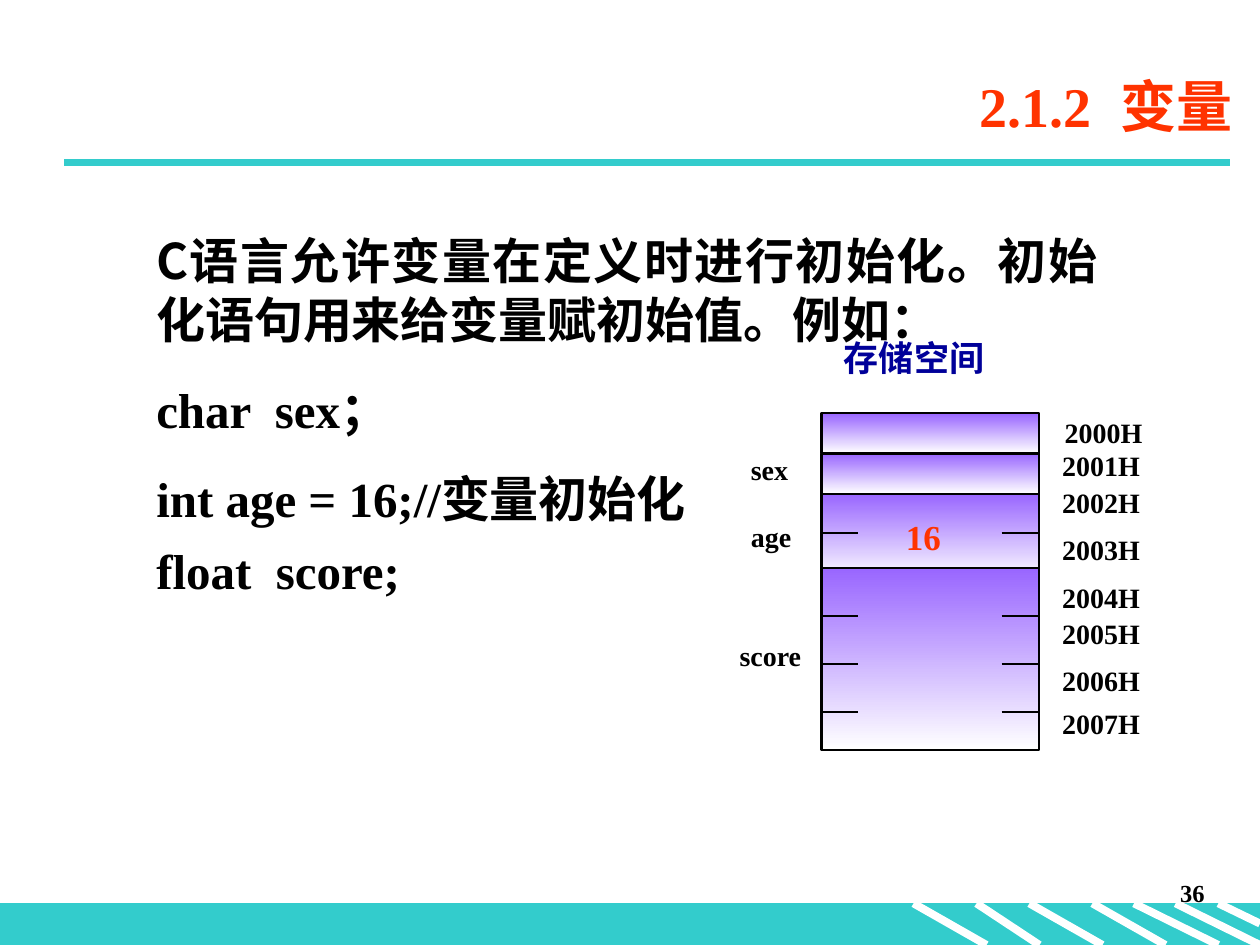
from lxml import etree
from pptx import Presentation
from pptx.dml.color import RGBColor
from pptx.enum.shapes import MSO_CONNECTOR, MSO_SHAPE
from pptx.enum.text import MSO_ANCHOR, PP_ALIGN
from pptx.oxml.ns import qn
from pptx.util import Inches, Pt

STRAIGHT = MSO_CONNECTOR.STRAIGHT
RECTANGLE = MSO_SHAPE.RECTANGLE
LEFT, RIGHT, JUSTIFY = PP_ALIGN.LEFT, PP_ALIGN.RIGHT, PP_ALIGN.JUSTIFY
TOP, MIDDLE = MSO_ANCHOR.TOP, MSO_ANCHOR.MIDDLE

SERIF, CHINESE = "Times New Roman", "Noto Sans CJK SC"
TEAL, PURPLE, RED, NAVY = "33CCCC", "9966FF", "FF3300", "000099"
BLACK, WHITE = "000000", "FFFFFF"

presentation = Presentation()
presentation.slide_width, presentation.slide_height = Inches(10), Inches(7.5)
slide = presentation.slides.add_slide(presentation.slide_layouts[1])
shapes = slide.shapes

# The slide is a grid of 10 columns by 7.5 rows
COLUMN = presentation.slide_width / 10
ROW = presentation.slide_height / 7.5


def paint(target, color):
    """Give a fill, or the fill of a line, one solid colour."""
    target.solid()
    target.fore_color.rgb = RGBColor.from_string(color)


def write(text, box, shape=None, size=16, color=BLACK, font=SERIF, align=LEFT,
          anchor=TOP, margins=(0, 0), before=0, spacing=None):
    """Add one paragraph to a shape, or to a new text box."""
    left, top, width, height = box
    if shape is None:
        shape = shapes.add_textbox(0, 0, 0, 0)
    shape.left, shape.width = int(left * COLUMN), int(width * COLUMN)
    shape.top, shape.height = int(top * ROW), int(height * ROW)
    frame = shape.text_frame
    frame.word_wrap, frame.vertical_anchor = True, anchor
    frame.margin_left = frame.margin_right = Inches(margins[0])
    frame.margin_top = frame.margin_bottom = Inches(margins[1])
    paragraph = frame.add_paragraph() if frame.text else frame.paragraphs[0]
    properties = paragraph._p.get_or_add_pPr()
    properties.set("marL", "0")
    properties.set("indent", "0")
    etree.SubElement(properties, qn("a:buNone"))
    paragraph.alignment = align
    paragraph.space_before = Pt(before)
    if spacing:
        paragraph.line_spacing = Pt(spacing)
    run = paragraph.add_run()
    run.text = text
    run.font.size, run.font.bold, run.font.name = Pt(size), True, font
    paint(run.font.fill, color)
    east_asian = etree.Element(qn("a:ea"), typeface=CHINESE)
    run.font._element.find(qn("a:latin")).addnext(east_asian)


# Footer band and memory cells: left, top, width, height, fill, line width
CELL_LEFT, CELL_WIDTH, BYTE = 6.52, 1.73, 0.32
FIRST_CELL = 3.28
blocks = [(0, 7.17, 10, 0.33, TEAL, 0.75)]
for top, height in [(FIRST_CELL, BYTE), (FIRST_CELL + BYTE, BYTE),
                    (FIRST_CELL + 2 * BYTE, 0.69), (4.51, 1.44)]:
    blocks.append((CELL_LEFT, top, CELL_WIDTH, height, None, 1.25))

for left, top, width, height, fill, line_width in blocks:
    block = shapes.add_shape(RECTANGLE, int(left * COLUMN), int(top * ROW),
                             int(width * COLUMN), int(height * ROW))
    block.shadow.inherit = False
    if fill:
        paint(block.fill, fill)
    else:
        block.fill.gradient()
        block.fill.gradient_angle = 270
        for stop, shade in zip(block.fill.gradient_stops, (PURPLE, WHITE)):
            stop.color.rgb = RGBColor.from_string(shade)
    paint(block.line.fill, fill or BLACK)
    block.line.width = Pt(line_width)

# Title rule, footer stripes and byte ticks
lines = [(0.51, 1.29, 9.76, 1.29, TEAL, 4.5)]
for start, end in [(7.25, 7.83), (7.75, 8.25), (8.17, 8.75), (8.67, 9.25),
                   (9, 9.67), (9.33, 10)]:
    lines.append((start, 7.17, end, 7.5, WHITE, 4.5))
lines.append((9.67, 7.17, 10, 7.33, WHITE, 4.5))
for y in (4.23, 4.89, 5.27, 5.65):
    for x in (CELL_LEFT, 7.95):
        lines.append((x, y, x + 0.29, y, BLACK, 0.75))

for x1, y1, x2, y2, color, width in lines:
    line = shapes.add_connector(STRAIGHT, int(x1 * COLUMN), int(y1 * ROW),
                                int(x2 * COLUMN), int(y2 * ROW))
    paint(line.line.fill, color)
    line.line.width = Pt(width)
    etree.SubElement(line._element.spPr, qn("a:effectLst"))

# Title, body and page number
write("2.1.2  变量", (1.38, 0.44, 8.5, 0.79), shape=shapes.title, size=32,
      color=RED, align=RIGHT, anchor=MIDDLE, margins=(0.1, 0.05))

body = slide.placeholders[1]
for text, font, align, before in [
        ("C语言允许变量在定义时进行初始化。初始化语句用来给变量赋初始值。例如：",
         CHINESE, JUSTIFY, 0),
        ("char  sex；", SERIF, JUSTIFY, 17.5),
        ("int age = 16;//变量初始化", SERIF, JUSTIFY, 17.5),
        ("float  score;", SERIF, LEFT, 7)]:
    write(text, (1.14, 1.78, 7.67, 3.73), shape=body, size=28, font=font,
          align=align, margins=(0.1, 0.05), before=before, spacing=33.7)

write("36", (7.58, 6.92, 2.08, 0.5), size=14, align=RIGHT, margins=(0.1, 0.05))

# Memory labels
write("存储空间", (6.6, 2.62, 2.36, 0.44), size=20, color=NAVY,
      margins=(0.1, 0.05))
write("16", (7.19, 4.09, 0.4, 0.33), size=20, color=RED)
for name, left, top in [("sex", 5.96, 3.59), ("age", 5.96, 4.12),
                        ("score", 5.87, 5.07)]:
    write(name, (left, top, 0.6, 0.27))
for index, top in enumerate((3.3, 3.56, 3.85, 4.23, 4.61, 4.89, 5.27, 5.61)):
    write(f"{2000 + index}H", (8.45 if index == 0 else 8.43, top, 1.22, 0.27))

presentation.save("out.pptx")
